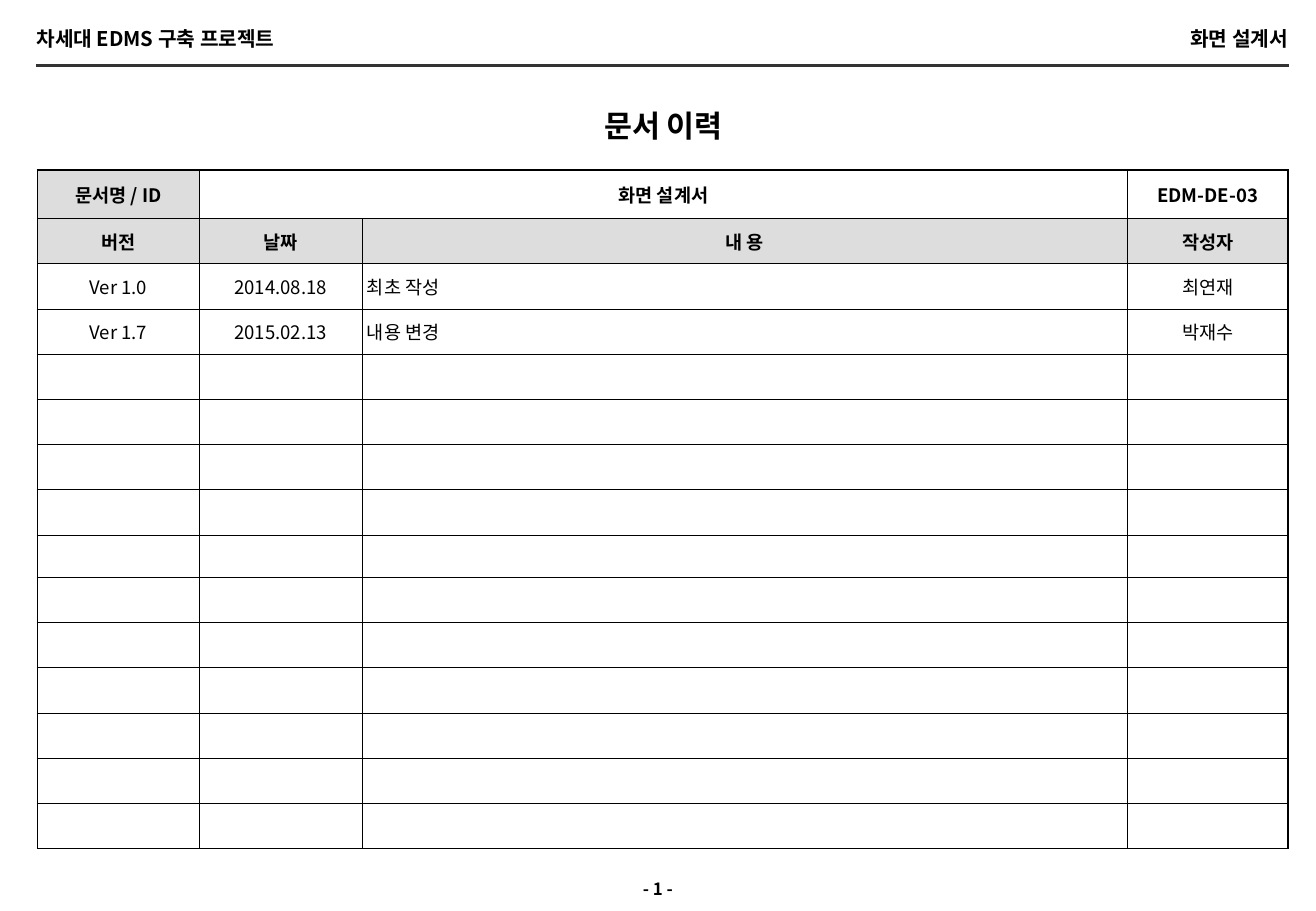
import pptx
import pptx.util
import pptx.dml.color
import pptx.enum.shapes
import pptx.enum.text
import lxml.etree
from pptx.oxml.ns import qn

Inches, Pt = pptx.util.Inches, pptx.util.Pt
ALIGN = pptx.enum.text.PP_ALIGN
MIDDLE = pptx.enum.text.MSO_ANCHOR.MIDDLE
FONT = "Noto Sans CJK KR"
WIDTH, HEIGHT = 10.83, 7.5
MARGIN = 0.3


def color(hex_code):
    return pptx.dml.color.RGBColor.from_string(hex_code)


def write(paragraph, text, size, align, bold=True):
    paragraph.text = text
    paragraph.alignment = align
    font = paragraph.font
    font.name, font.size, font.bold = FONT, Pt(size), bold
    font.color.rgb = color("000000")
    # Hangul takes the East Asian typeface
    defaults = paragraph._p.pPr.find(qn("a:defRPr"))
    lxml.etree.SubElement(defaults, qn("a:ea"), typeface=FONT)


deck = pptx.Presentation()
deck.slide_width, deck.slide_height = Inches(WIDTH), Inches(HEIGHT)
slide = deck.slides.add_slide(deck.slide_layouts[6])

# Page header, title and page number: text, box, inset across and down, size, alignment
captions = [
    ("차세대 EDMS 구축 프로젝트", (MARGIN, 0.22, 3.47, 0.2), (0, 0), 12, ALIGN.LEFT),
    ("화면 설계서", (WIDTH - MARGIN - 3.4, 0.22, 3.47, 0.2), (0, 0), 12, ALIGN.RIGHT),
    ("문서 이력", (MARGIN, 0.83, 10.32, 0.4), (0.1, 0.05), 18, ALIGN.CENTER),
    ("- 1 -", (0, 7.2, WIDTH, 0.25), (0.1, 0.05), 10, ALIGN.CENTER),
]
for text, box, (across, down), size, align in captions:
    frame = slide.shapes.add_textbox(*map(Inches, box)).text_frame
    frame.word_wrap = True
    frame.margin_left = frame.margin_right = Inches(across)
    frame.margin_top = frame.margin_bottom = Inches(down)
    write(frame.paragraphs[0], text, size, align)
frame.paragraphs[0].line_spacing = 0.9

# Rule below the header
rule = slide.shapes.add_connector(
    pptx.enum.shapes.MSO_CONNECTOR.STRAIGHT,
    Inches(MARGIN), Inches(0.54), Inches(10.61), Inches(0.54))
rule.line.color.rgb = color("333333")
rule.line.width = Pt(2.25)
lxml.etree.SubElement(rule._element.spPr, qn("a:effectLst"))

# Revision history
history = [
    ["문서명 / ID", "화면 설계서", "", "EDM-DE-03"],
    ["버전", "날짜", "내 용", "작성자"],
    ["Ver 1.0", "2014.08.18", "최초 작성", "최연재"],
    ["Ver 1.7", "2015.02.13", "내용 변경", "박재수"],
]
column_widths = [1.33, 1.34, 6.3, 1.32]
row_count, table_height = 15, 5.59
row_heights = [(table_height - 0.4 - 0.35) / (row_count - 2)] * row_count
row_heights[0], row_heights[8] = 0.4, 0.35
history += [[""] * 4] * (row_count - len(history))

table = slide.shapes.add_table(
    row_count, 4, Inches(0.31), Inches(1.4),
    Inches(sum(column_widths)), Inches(table_height)).table
table.first_row = table.horz_banding = False
for column, width in zip(table.columns, column_widths):
    column.width = Inches(width)
for row, height in zip(table.rows, row_heights):
    row.height = Inches(height)

for r, entries in enumerate(history):
    for c, entry in enumerate(entries):
        cell = table.cell(r, c)
        cell.vertical_anchor = MIDDLE
        cell.margin_left = cell.margin_right = Inches(0.04)
        cell.margin_top = cell.margin_bottom = Inches(0.04)
        paragraph = cell.text_frame.paragraphs[0]
        align = ALIGN.LEFT if r > 1 and c == 2 else ALIGN.CENTER
        write(paragraph, entry, 11, align, bold=r < 2)
        paragraph.space_before = Pt(2.2)

        # Outer edges are thicker than the inner grid; borders precede the fill
        properties = cell._tc.get_or_add_tcPr()
        edges = {"L": c == 0, "R": c == 3, "T": r == 0, "B": r == row_count - 1}
        for side, outer in edges.items():
            border = lxml.etree.SubElement(
                properties, qn("a:ln" + side), w=str(Pt(1 if outer else 0.5)))
            paint = lxml.etree.SubElement(border, qn("a:solidFill"))
            lxml.etree.SubElement(paint, qn("a:srgbClr"), val="000000")
        cell.fill.solid()
        heading = r == 1 or (r, c) == (0, 0)
        cell.fill.fore_color.rgb = color("DDDDDD" if heading else "FFFFFF")

table.cell(0, 1).merge(table.cell(0, 2))

deck.save("out.pptx")
